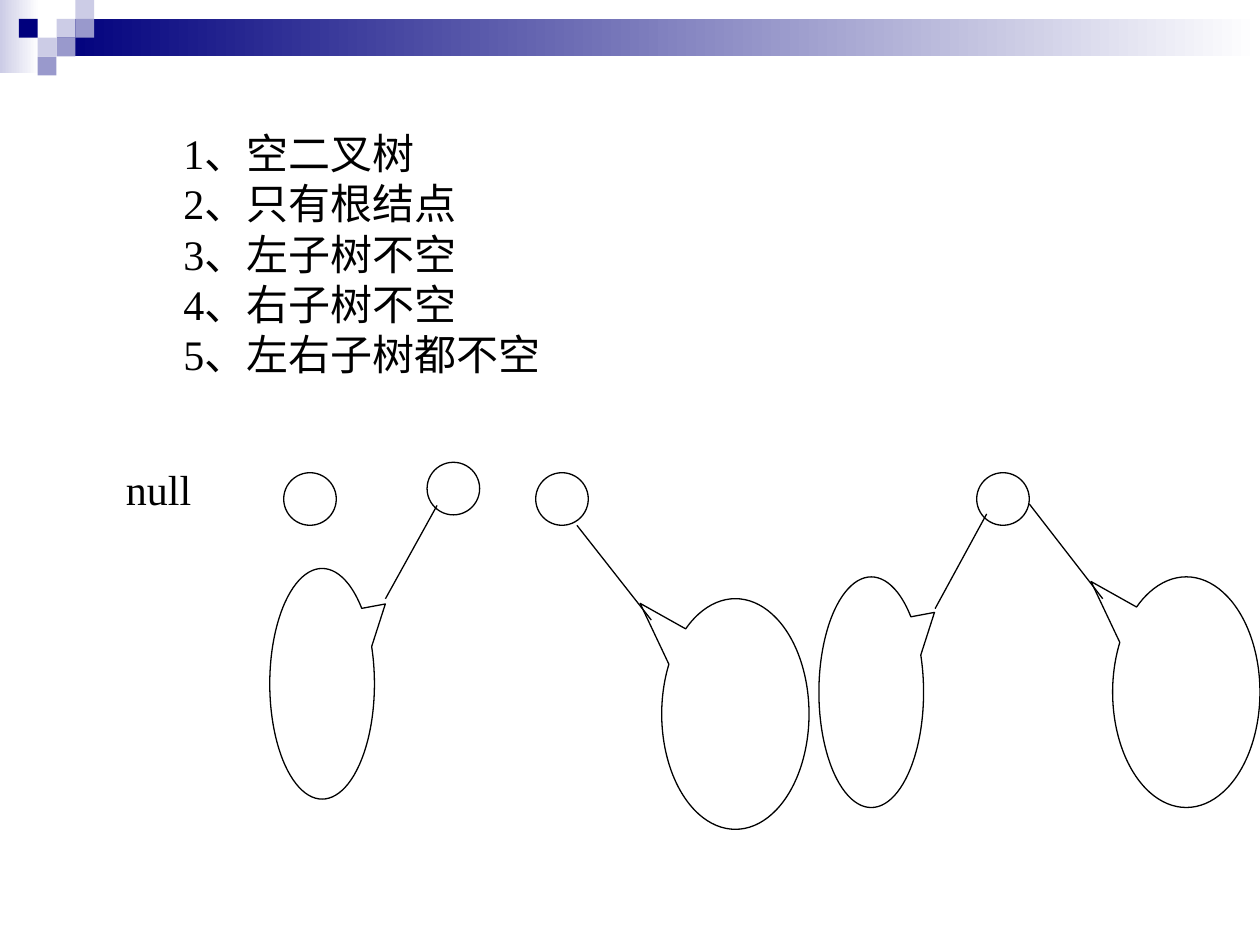
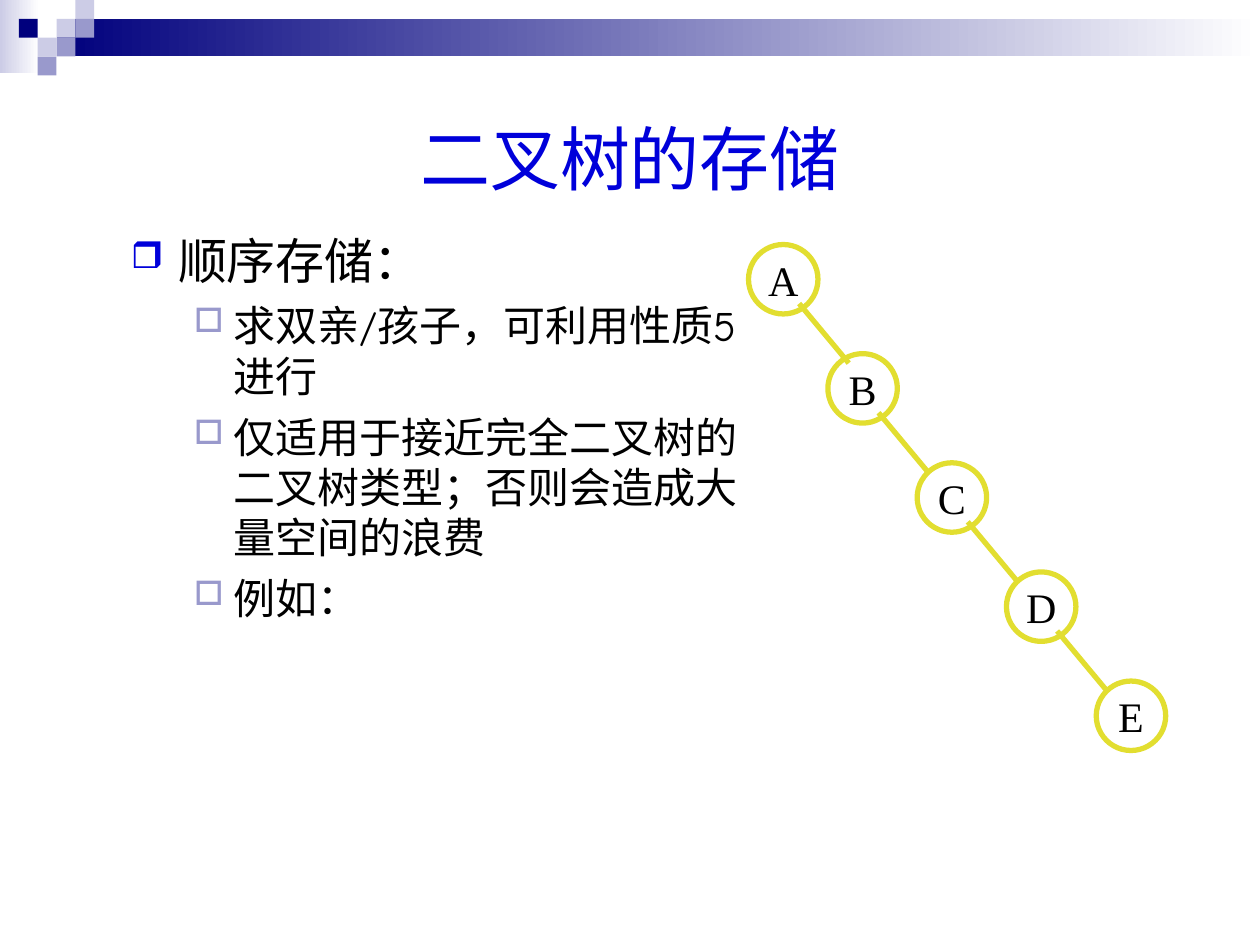
import pptx
import pptx.util
import pptx.dml.color
import pptx.enum.shapes
import pptx.enum.text
import pptx.oxml.ns
import lxml.etree

Cm = pptx.util.Cm
Pt = pptx.util.Pt
Kind = pptx.enum.shapes.MSO_SHAPE
Align = pptx.enum.text.PP_ALIGN
Anchor = pptx.enum.text.MSO_ANCHOR

THEME = {
    "navy": "00007D", "lilac": "9999CC", "pale": "CCCCE6", "white": "FFFFFF",
    "blue": "0000DA", "black": "000000", "gold": "E2DE30",
    "serif": "Times New Roman", "comic": "Comic Neue",
    "head": 40, "lead": 28, "text": 24, "thin": 0.75, "thick": 3,
}

CELL = 0.38
FADES = [("pale", (0, 0, 0.79, 1.47)), ("navy", (1.14, CELL, 24.26, 0.75))]
TILES = [
    ("pale", 3, 1), ("pale", 4, 0), ("lilac", 4, 1), ("pale", 2, 2),
    ("navy", 1, 1), ("lilac", 3, 2), ("lilac", 2, 3),
]

FORMS = ["1、空二叉树", "2、只有根结点", "3、左子树不空", "4、右子树不空", "5、左右子树都不空"]
EMPTY = "null"
ROOTS = [(5.72, 9.53), (8.61, 9.32), (10.8, 9.53), (19.69, 9.53)]
EDGES = [
    (8.81, 10.19, 7.77, 12.07), (11.63, 10.59, 13.13, 12.5),
    (19.89, 10.36, 18.85, 12.27), (20.75, 10.16, 22.23, 12.07),
]
SIDES = {
    "left": {"size": (2.11, 4.65), "tip": (0.604, -0.346)},
    "right": {"size": (2.97, 4.65), "tip": (-0.647, -0.48)},
}
TREES = [
    ("left", 5.44, 11.46), ("right", 13.34, 12.07),
    ("left", 16.51, 11.63), ("right", 22.43, 11.63),
]

TITLE = "二叉树的存储"
POINTS = [
    (0, "顺序存储："),
    (1, "求双亲/孩子，可利用性质5进行"),
    (1, "仅适用于接近完全二叉树的二叉树类型；否则会造成大量空间的浪费"),
    (1, "例如："),
]
LEVELS = [
    {"mark": "❒", "tint": "blue", "scale": 75, "left": 0.95, "hang": 0.95, "size": "lead", "gap": 0},
    {"mark": "□", "tint": "lilac", "scale": 80, "left": 2.06, "hang": 0.79, "size": "text", "gap": 6},
]
NODES = [("A", 15.09), ("B", 16.69), ("C", 18.49), ("D", 20.29), ("E", 22.1)]
CHAIN = {"top": 4.93, "step": 2.2, "size": 1.4, "start": (1.02, 1.19), "run": (1, 1.2)}


def tint(name):
    return pptx.dml.color.RGBColor.from_string(THEME[name])


def apply(target, values):
    for name, value in values.items():
        setattr(target, name, value)


def write(par, text, face, size, color="black"):
    run = par.add_run()
    run.text = text
    apply(run.font, {"name": THEME[face], "size": Pt(THEME[size])})
    run.font.color.rgb = tint(color)


def shape(slide, kind, box):
    item = slide.shapes.add_shape(kind, *map(Cm, box))
    item.shadow.inherit = False
    item.fill.background()
    item.line.fill.background()
    return item


def stroke(item, color, width):
    item.line.color.rgb = tint(color)
    item.line.width = Pt(THEME[width])


def draw(slide, kind, box, color="black", width="thin"):
    item = shape(slide, kind, box)
    stroke(item, color, width)
    return item


def link(slide, ends, color="black", width="thin"):
    line = slide.shapes.add_connector(pptx.enum.shapes.MSO_CONNECTOR.STRAIGHT, *map(Cm, ends))
    stroke(line, color, width)
    lxml.etree.SubElement(line._element.spPr, pptx.oxml.ns.qn("a:effectLst"))


def frame(slide, box, **values):
    body = slide.shapes.add_textbox(*map(Cm, box)).text_frame
    apply(body, {"word_wrap": True, **values})
    return body


def lines(body):
    yield body.paragraphs[0]
    while True:
        yield body.add_paragraph()


def bullet(par, level):
    props = par._p.get_or_add_pPr()
    apply(par, {"space_before": Pt(level["gap"])})
    props.set("marL", str(Cm(level["left"])))
    props.set("indent", str(-Cm(level["hang"])))

    def add(parent, tag, value=None, key="val"):
        node = lxml.etree.SubElement(parent, pptx.oxml.ns.qn(tag))
        if value:
            node.set(key, value)
        return node

    add(add(props, "a:buClr"), "a:srgbClr", THEME[level["tint"]])
    add(props, "a:buSzPct", str(level["scale"] * 1000))
    add(props, "a:buChar", level["mark"], "char")


def start(deck):
    slide = deck.slides.add_slide(deck.slide_layouts[6])
    for color, box in FADES:
        fill = shape(slide, Kind.RECTANGLE, box).fill
        fill.gradient()
        fill.gradient_angle = 0
        for stop, name, place in zip(fill.gradient_stops, (color, "white"), (0, 1)):
            stop.color.rgb = tint(name)
            stop.position = place
    for color, col, row in TILES:
        fill = shape(slide, Kind.RECTANGLE, (col * CELL, row * CELL, CELL, CELL)).fill
        fill.solid()
        fill.fore_color.rgb = tint(color)
    return slide


def show_forms(deck):
    slide = start(deck)
    body = frame(slide, (3.45, 2.44, 10, 5.33))
    for text, par in zip(FORMS, lines(body)):
        write(par, text, "serif", "text")
    write(frame(slide, (2.29, 9.22, 3, 1.27)).paragraphs[0], EMPTY, "serif", "text")
    for left, top in ROOTS:
        draw(slide, Kind.OVAL, (left, top, 1.06, 1.06))
    for ends in EDGES:
        link(slide, ends)
    for side, left, top in TREES:
        form = SIDES[side]
        tree = draw(slide, Kind.OVAL_CALLOUT, (left, top, *form["size"]))
        for index, value in enumerate(form["tip"]):
            tree.adjustments[index] = value


def show_store(deck):
    slide = start(deck)
    head = frame(slide, (1.27, 1.27, 22.86, 3.81), vertical_anchor=Anchor.MIDDLE).paragraphs[0]
    head.alignment = Align.CENTER
    write(head, TITLE, "comic", "head", "blue")
    body = frame(slide, (2.39, 4.52, 12.9, 8.26))
    for (depth, text), par in zip(POINTS, lines(body)):
        level = LEVELS[depth]
        par.level = depth
        bullet(par, level)
        write(par, text, "comic", level["size"])
    size = CHAIN["size"]
    for index, (name, left) in enumerate(NODES):
        top = CHAIN["top"] + index * CHAIN["step"]
        node = draw(slide, Kind.OVAL, (left, top, size, size), "gold", "thick")
        apply(node.text_frame, {"word_wrap": False, "vertical_anchor": Anchor.MIDDLE})
        par = node.text_frame.paragraphs[0]
        par.alignment = Align.CENTER
        write(par, name, "serif", "text")
        if index < len(NODES) - 1:
            x, y = left + CHAIN["start"][0], top + CHAIN["start"][1]
            link(slide, (x, y, x + CHAIN["run"][0], y + CHAIN["run"][1]), "gold", "thick")


def main():
    deck = pptx.Presentation()
    apply(deck, {"slide_width": Cm(25.4), "slide_height": Cm(19.05)})
    show_forms(deck)
    show_store(deck)
    deck.save("out.pptx")


if __name__ == "__main__":
    main()
